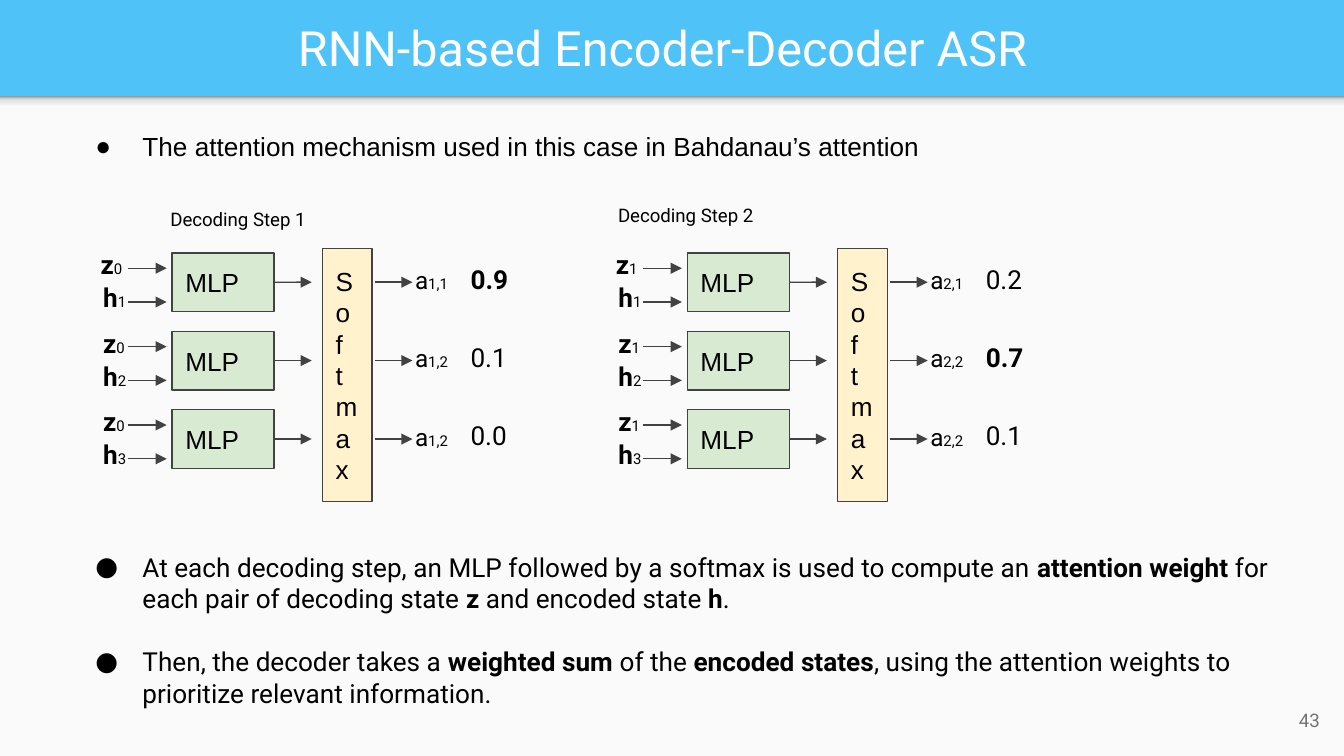
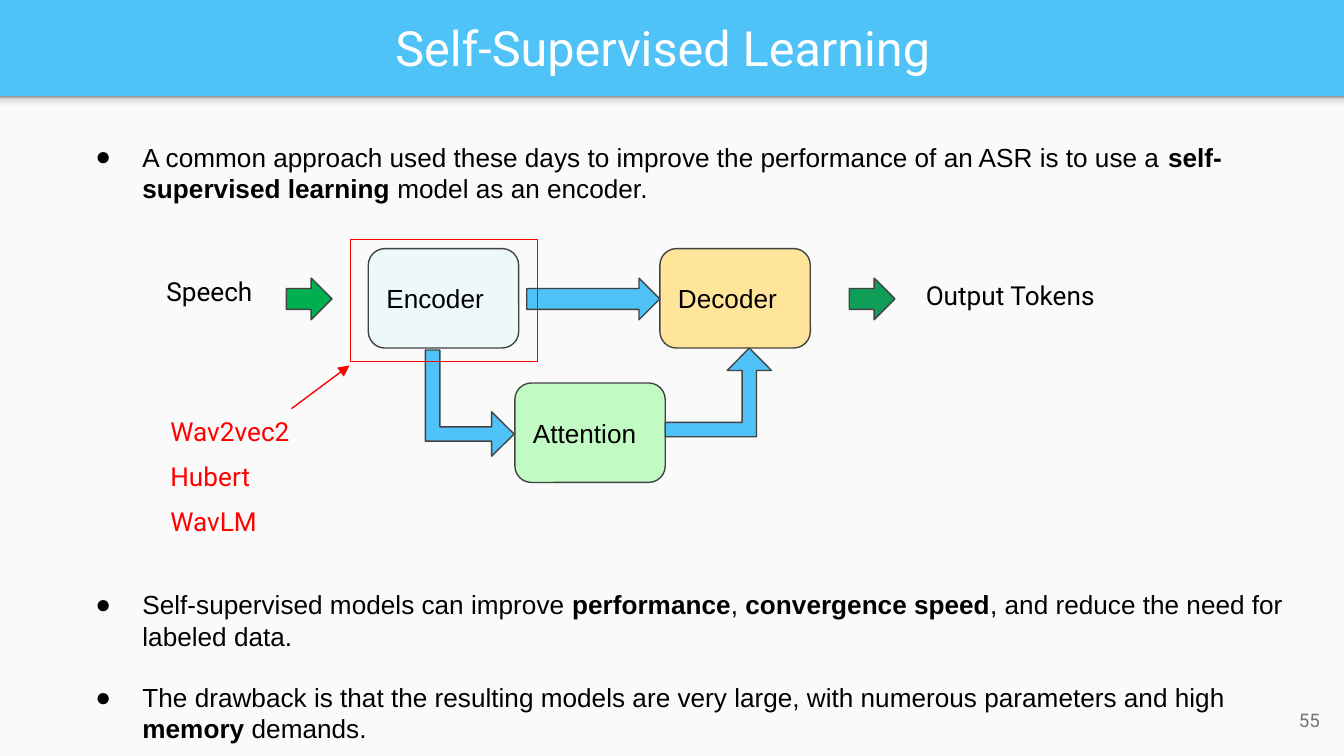
from lxml import etree
from pptx import Presentation
from pptx.dml import color
from pptx.enum import shapes, text
from pptx.oxml import ns
from pptx.util import Pt

SHAPE = shapes.MSO_SHAPE
LEFT, CENTER, RIGHT = text.PP_ALIGN.LEFT, text.PP_ALIGN.CENTER, text.PP_ALIGN.RIGHT
TOP, MIDDLE = text.MSO_ANCHOR.TOP, text.MSO_ANCHOR.MIDDLE

SKY, PAPER, WHITE, BLACK = "4FC3F7", "FAFAFA", "FFFFFF", "000000"
OUTLINE, GREY, RED = "424242", "737373", "FF0000"
BAND_SHADOW = [(0, "F9F9F9"), (36, "F9F9F9"), (80, "DEDEDE"), (100, "999999")]
WIDTH, HEIGHT, BAND = 720, 405, 51.6
TWO_CONTENT = 3


def rgb(value):
    return color.RGBColor.from_string(value)


def points(*lengths):
    return [Pt(length) for length in lengths]


def child(parent, tag, **attributes):
    """Append a DrawingML element to parent."""
    return etree.SubElement(parent, ns.qn(f"a:{tag}"), attributes)


def spans(marked, size):
    """Split text with **bold** marks into (text, size, bold) runs."""
    pieces = enumerate(marked.split("**"))
    return [(piece, size, index % 2 == 1) for index, piece in pieces if piece]


class Deck:
    def __init__(self):
        self.presentation = Presentation()
        self.presentation.slide_width = Pt(WIDTH)
        self.presentation.slide_height = Pt(HEIGHT)
        background = self.presentation.slide_master.background.fill
        background.solid()
        background.fore_color.rgb = rgb(SKY)
        self.slide = None

    def new_slide(self, title, number):
        layout = self.presentation.slide_layouts[TWO_CONTENT]
        self.slide = self.presentation.slides.add_slide(layout)
        self.backdrop()
        heading = self.slide.shapes.title
        self.place(heading, (7.9, 1.4, 694.8, 47.5))
        self.frame(heading, MIDDLE)
        self.add_runs(heading.text_frame.paragraphs[0], [(title, 26, False)],
                      tone=WHITE, align=CENTER)
        self.label((671, 370, 43.2, 31), [(str(number), 10, False)],
                   tone=GREY, align=RIGHT, anchor=MIDDLE)

    def backdrop(self):
        panel = self.shape(SHAPE.RECTANGLE, (0, BAND, WIDTH, HEIGHT - BAND), PAPER, None)
        shadow = self.shape(SHAPE.RECTANGLE, (0, BAND, WIDTH, 8.6), None, None)
        shadow.fill.gradient()
        shadow.fill.gradient_angle = 90
        stops = next(shadow.element.spPr.iter(ns.qn("a:gsLst")))
        stops.clear()
        for position, tone in BAND_SHADOW:
            stop = child(stops, "gs", pos=str(position * 1000))
            child(stop, "srgbClr", val=tone)
        tree = self.slide.shapes.element
        for index, part in enumerate((panel, shadow), start=2):
            tree.insert(index, part.element)

    def place(self, shape, box):
        shape.left, shape.top, shape.width, shape.height = points(*box)

    def frame(self, shape, anchor):
        frame = shape.text_frame
        frame.word_wrap = True
        frame.auto_size = text.MSO_AUTO_SIZE.NONE
        frame.vertical_anchor = anchor
        frame.margin_left = frame.margin_right = Pt(7.2)
        frame.margin_top = frame.margin_bottom = Pt(7.2)

    def add_runs(self, paragraph, runs, font="Roboto", tone=BLACK, align=LEFT):
        paragraph.alignment = align
        for content, size, bold in runs:
            run = paragraph.add_run()
            run.text = content
            run.font.name = font
            run.font.size = Pt(size)
            run.font.bold = bold
            run.font.color.rgb = rgb(tone)

    def label(self, box, runs, tone=BLACK, align=LEFT, anchor=TOP):
        shape = self.slide.shapes.add_textbox(*points(*box))
        self.frame(shape, anchor)
        self.add_runs(shape.text_frame.paragraphs[0], runs, tone=tone, align=align)

    def bullets(self, index, box, items, font="Arial", gap=0):
        """Fill body placeholder number index with bulleted items."""
        body = self.slide.placeholders[index]
        self.place(body, box)
        self.frame(body, TOP)
        for position, item in enumerate(items):
            frame = body.text_frame
            paragraph = frame.add_paragraph() if position else frame.paragraphs[0]
            properties = paragraph._p.get_or_add_pPr()
            properties.set("marL", str(Pt(36)))
            properties.set("indent", str(Pt(-25.2)))
            child(child(properties, "buClr"), "srgbClr", val=BLACK)
            child(properties, "buFont", typeface=font)
            child(properties, "buChar", char="●")
            paragraph.space_before = Pt(gap if position else 0)
            paragraph.space_after = Pt(0)
            self.add_runs(paragraph, spans(item, 14), font)

    def shape(self, kind, box, fill, line=OUTLINE, alpha=None, adjustments=()):
        shape = self.slide.shapes.add_shape(kind, *points(*box))
        shape.shadow.inherit = False
        for index, value in enumerate(adjustments):
            shape.adjustments[index] = value
        if fill:
            shape.fill.solid()
            shape.fill.fore_color.rgb = rgb(fill)
        else:
            shape.fill.background()
        if alpha is not None:
            solid = shape.element.spPr.find(ns.qn("a:solidFill"))
            child(solid[0], "alpha", val=str(alpha * 1000))
        if line:
            shape.line.color.rgb = rgb(line)
            shape.line.width = Pt(0.75)
        else:
            shape.line.fill.background()
        return shape

    def block(self, kind, box, lines, fill, alpha=None):
        """Draw an outlined shape with one paragraph for each line."""
        shape = self.shape(kind, box, fill, alpha=alpha)
        self.frame(shape, MIDDLE)
        shape.text_frame.text = lines
        for paragraph in shape.text_frame.paragraphs:
            paragraph.alignment = LEFT
            font = paragraph.runs[0].font
            font.name, font.size = "Arial", Pt(14)
            font.color.rgb = rgb(BLACK)
        return shape

    def arrow(self, start, end, tone=OUTLINE, source=None):
        """Draw a line with a head at its end, joined to source's right side if given."""
        connector = self.slide.shapes.add_connector(
            shapes.MSO_CONNECTOR.STRAIGHT, *points(*start, *end))
        if source is not None:
            connector.begin_connect(source, 3)
        connector.line.color.rgb = rgb(tone)
        connector.line.width = Pt(0.75)
        properties = connector.element.spPr
        child(properties.find(ns.qn("a:ln")), "tailEnd", type="triangle")
        child(properties, "effectLst")


def decoding_step(deck, left, step, state, rows):
    """Draw one attention step; rows hold (weight index, weight, bold)."""
    for row, (index, weight, bold) in enumerate(rows):
        middle = 151.2 + 42 * row
        mlp = deck.block(SHAPE.RECTANGLE, (left + 92.2, middle - 15.7, 54.7, 31.4),
                         "MLP", "D9EAD3")
        for offset in (-7.5, 10.6):
            deck.arrow((left + 68.4, middle + offset), (left + 89.3, middle + offset))
        deck.arrow((left + 146.9, middle), (left + 167, middle), source=mlp)
        deck.arrow((left + 200.9, middle), (left + 221, middle))
        state_left = left + (48.2 if row else 46.8)
        deck.label((state_left, middle - 25.2, 36, 31.7),
                   [("z", 14, True), (str(state), 8, False)])
        deck.label((left + 48.2, middle - 7.4, 34.6, 31.7),
                   [("h", 14, True), (str(row + 1), 8, False)])
        deck.label((left + 215.3, middle - 16.4, 38.2, 30.2),
                   [("a", 13, False), (f"{step},{index}", 8, False)])
        deck.label((left + 245, middle - 17.5, 34.6, 31.7), [(weight, 14, bold)])
    deck.block(SHAPE.RECTANGLE, (left + 172.8, 133.2, 26.6, 135.4),
               "So\nf\ntmax", "FFF2CC")


def attention_slide(deck):
    deck.new_slide("RNN-based Encoder-Decoder ASR", 43)
    deck.bullets(1, (33.1, 62.6, 648.7, 31.7), [
        "The attention mechanism used in this case in Bahdanau’s attention"])
    decoding_step(deck, 0, 1, 0, [(1, "0.9", True), (2, "0.1", False), (2, "0.0", False)])
    decoding_step(deck, 276, 2, 1, [(1, "0.2", False), (2, "0.7", True), (2, "0.1", False)])
    deck.label((84.2, 104.4, 127.4, 26.6), [("Decoding Step 1", 10, False)])
    deck.label((324, 102.2, 236.2, 26.6), [("Decoding Step 2", 10, False)])
    deck.bullets(2, (33.1, 288, 666.7, 99.4), [
        "At each decoding step, an MLP followed by a softmax is used to compute an "
        "**attention weight** for each pair of decoding state **z** and encoded state **h**.",
        "Then, the decoder takes a **weighted sum** of the **encoded states**, "
        "using the attention weights to prioritize relevant information.",
    ], font="Roboto", gap=17)


def self_supervised_slide(deck):
    deck.new_slide("Self-Supervised Learning", 55)
    deck.bullets(1, (33.1, 68.4, 669.6, 48.2), [
        "A common approach used these days to improve the performance of an ASR is to use a "
        "**self-supervised learning **model as an encoder."])
    for name, left, top, fill, alpha in (
            ("Encoder", 197.3, 133.2, "00E0FF", 5),
            ("Decoder", 353.5, 133.2, "FFE599", None),
            ("Attention", 275.8, 205.2, "84FB89", 47)):
        deck.block(SHAPE.ROUNDED_RECTANGLE, (left, top, 80.6, 53.3), name, fill, alpha)
    for left, width, fill in ((153.4, 24.5, "00B050"), (282.2, 71.3, SKY),
                              (455, 24.5, "0F9D58")):
        deck.shape(SHAPE.RIGHT_ARROW, (left, 149, width, 22.3), fill)
    for left, top, rotation in ((223.2, 192.2, 90), (356.4, 186.5, 0)):
        bend = deck.shape(SHAPE.BENT_UP_ARROW, (left, top, 56.9, 47.5), SKY,
                          adjustments=(0.162, 0.25, 0.253))
        bend.rotation = rotation
    deck.label((82, 140.4, 80.6, 31.7), [("Speech", 14, False)])
    deck.label((488.9, 142.6, 105.8, 31.7), [("Output Tokens", 14, False)])
    deck.shape(SHAPE.RECTANGLE, (187.9, 128.2, 100.1, 65.5), None, RED)
    deck.arrow((156.2, 218.9), (187.2, 195.8), RED)
    for row, model in enumerate(("Wav2vec2", "Hubert", "WavLM")):
        deck.label((84.2, 215.3 + 24.1 * row, 93.6, 31.7), [(model, 14, False)], tone=RED)
    deck.bullets(2, (33.1, 308.2, 669.6, 96.5), [
        "Self-supervised models can improve **performance**, **convergence speed**, "
        "and reduce the need for labeled data.",
        "The drawback is that the resulting models are very large, with numerous "
        "parameters and high **memory** demands.",
    ], gap=16)


def main():
    deck = Deck()
    attention_slide(deck)
    self_supervised_slide(deck)
    deck.presentation.save("out.pptx")


if __name__ == "__main__":
    main()
